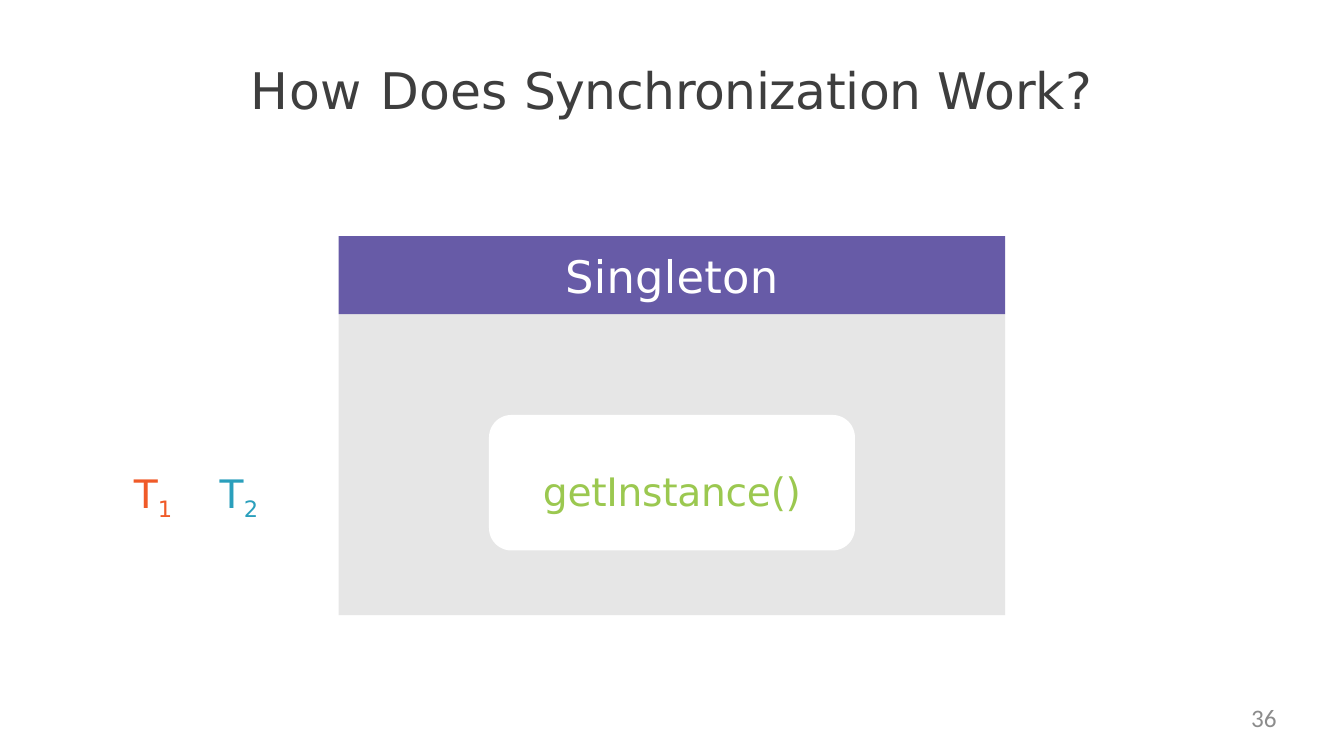
from pptx import Presentation
from pptx.dml.color import RGBColor
from pptx.enum.shapes import MSO_SHAPE as Shape
from pptx.enum.text import MSO_ANCHOR as Anchor, PP_ALIGN as Align
from pptx.oxml import parse_xml
from pptx.oxml.ns import nsdecls
from pptx.util import Pt

SLIDE_SIZE = (960, 540)
FONT = "DejaVu Sans"
TITLE = [("How ", 0.7), ("Does ", 0.1), ("Synchronization ", -0.3), ("Work?", 0.1)]
CLASS_NAME = [("Singleton", 0.2)]
METHOD_NAME = [("getInstance()", -0.2)]
THREADS = [
    ("T", -1.8, "F05A28", False),
    ("1\t", -2.6, "F05A28", True),
    ("T", 0.2, "2A9FBC", False),
    ("2", 0.4, "2A9FBC", True),
]
PAGE_NUMBER = [("36", 0)]

PANEL_LEFT, PANEL_TOP, PANEL_WIDTH = 242, 168.7, 476
HEADER_HEIGHT, BODY_HEIGHT = 55.7, 215
METHOD_WIDTH, METHOD_HEIGHT, METHOD_OFFSET = 261.4, 96.8, 72
METHOD_RADIUS = 16
THREAD_TAB = 61.2


def color(value):
    return RGBColor.from_string(value)


def add_run(paragraph, text, spacing):
    run = paragraph.add_run()
    run.text = text
    run.font._element.set("spc", str(round(spacing * 100)))
    return run


def write(shape, runs, size, fill, align=Align.CENTER, anchor=Anchor.MIDDLE, top=0, font=FONT):
    frame = shape.text_frame
    frame.word_wrap = True
    frame.vertical_anchor = anchor
    frame.margin_left = frame.margin_right = frame.margin_bottom = 0
    frame.margin_top = Pt(top)
    paragraph = frame.paragraphs[0]
    paragraph.alignment = align
    for text, spacing in runs:
        add_run(paragraph, text, spacing)
    paragraph.font.name = font
    paragraph.font.size = Pt(size)
    paragraph.font.color.rgb = color(fill)


def add_block(slide, kind, box, fill):
    shape = slide.shapes.add_shape(kind, *map(Pt, box))
    shape.shadow.inherit = False
    shape.fill.solid()
    shape.fill.fore_color.rgb = color(fill)
    shape.line.fill.background()
    return shape


def add_text_box(slide, box):
    return slide.shapes.add_textbox(*map(Pt, box))


def add_class_panel(slide):
    body_top = PANEL_TOP + HEADER_HEIGHT
    add_block(slide, Shape.RECTANGLE, (PANEL_LEFT, body_top, PANEL_WIDTH, BODY_HEIGHT), "E6E6E6")
    header = add_block(
        slide, Shape.RECTANGLE, (PANEL_LEFT, PANEL_TOP, PANEL_WIDTH, HEADER_HEIGHT), "675BA7"
    )
    write(header, CLASS_NAME, 32, "FFFFFF")
    method_left = PANEL_LEFT + (PANEL_WIDTH - METHOD_WIDTH) / 2
    method = add_block(
        slide,
        Shape.ROUNDED_RECTANGLE,
        (method_left, body_top + METHOD_OFFSET, METHOD_WIDTH, METHOD_HEIGHT),
        "FFFFFF",
    )
    method.adjustments[0] = METHOD_RADIUS / METHOD_HEIGHT
    write(method, METHOD_NAME, 28, "9BC850", top=12)


def add_threads(slide):
    frame = add_text_box(slide, (91.4, 334, 95, 35.3)).text_frame
    frame.word_wrap = True
    frame.margin_left, frame.margin_top = Pt(4.3), Pt(1.5)
    frame.margin_right = frame.margin_bottom = 0
    paragraph = frame.paragraphs[0]
    tabs = f'<a:tabLst {nsdecls("a")}><a:tab pos="{Pt(THREAD_TAB)}" algn="l"/></a:tabLst>'
    paragraph._p.get_or_add_pPr().append(parse_xml(tabs))
    paragraph.font.name = FONT
    for text, spacing, fill, subscript in THREADS:
        run = add_run(paragraph, text, spacing)
        run.font.size = Pt(27.8 if subscript else 28)
        run.font.color.rgb = color(fill)
        if subscript:
            run.font._element.set("baseline", "-21000")


def main():
    presentation = Presentation()
    presentation.slide_width, presentation.slide_height = map(Pt, SLIDE_SIZE)
    slide = presentation.slides.add_slide(presentation.slide_layouts[6])
    write(add_text_box(slide, (175, 41, 609, 45.4)), TITLE, 36, "3E3E3E")
    add_threads(slide)
    add_class_panel(slide)
    page_box = add_text_box(slide, (691, 502, 221, 27))
    write(page_box, PAGE_NUMBER, 18, "8C8C8C", Align.RIGHT, Anchor.TOP, font="Calibri")
    presentation.save("out.pptx")


if __name__ == "__main__":
    main()
